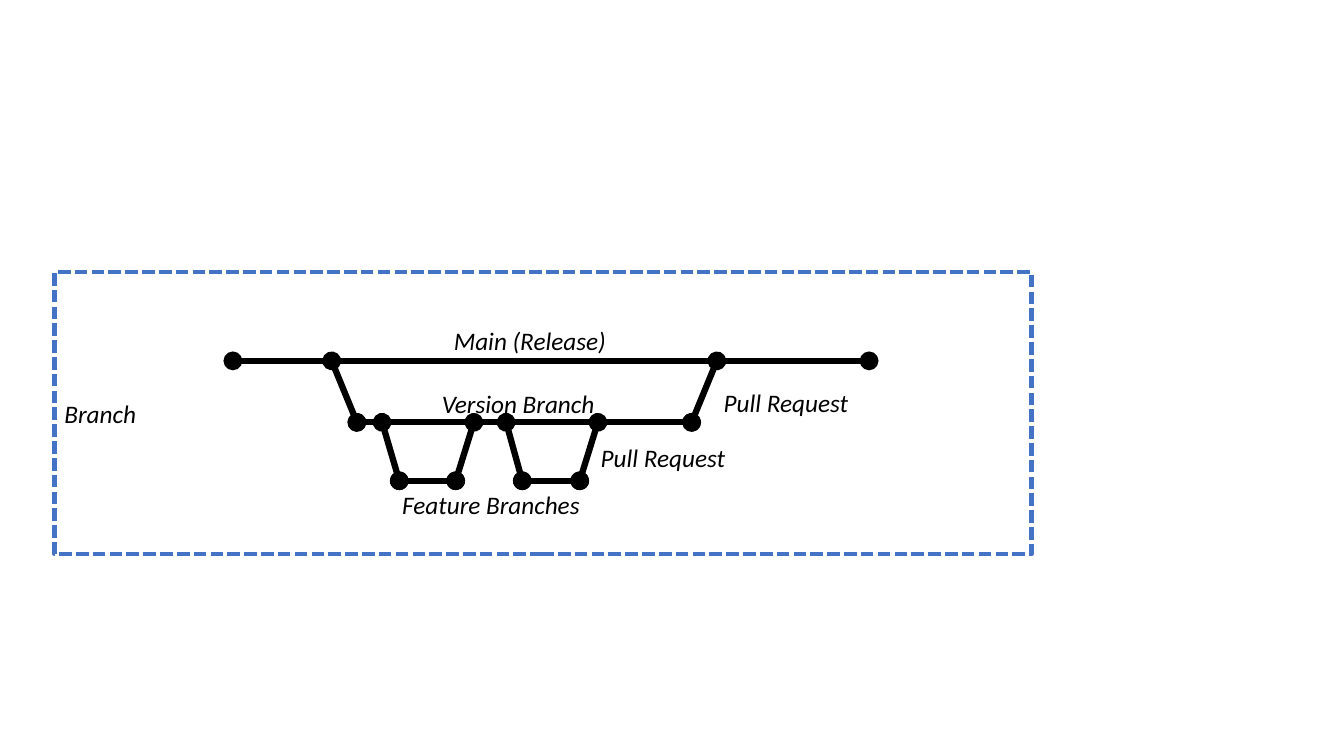
from dataclasses import dataclass
from itertools import pairwise

import pptx
import pptx.dml.color
import pptx.enum.dml
import pptx.enum.shapes
import pptx.enum.text
import pptx.oxml.ns
import pptx.util
from lxml import etree
from pptx.util import Inches


@dataclass(frozen=True)
class Theme:
    ink: pptx.dml.color.RGBColor = pptx.dml.color.RGBColor(0, 0, 0)
    frame: pptx.dml.color.RGBColor = pptx.dml.color.RGBColor(0x44, 0x72, 0xC4)
    font: str = "Calibri"
    label_size: int = pptx.util.Pt(18)
    branch_width: int = pptx.util.Pt(4.5)
    frame_width: int = pptx.util.Pt(3)


theme = Theme()


def write_label(shape, text, alignment):
    para = shape.text_frame.paragraphs[0]
    para.text = text
    para.alignment = alignment
    font = para.runs[0].font
    font.name = theme.font
    font.size = theme.label_size
    font.italic = True
    font.color.rgb = theme.ink


def draw_commit_line(page, start, end):
    """Join two commits with a line that has a dot at each end."""
    line = page.shapes.add_connector(
        pptx.enum.shapes.MSO_CONNECTOR.STRAIGHT,
        *(Inches(value) for value in (*start, *end)),
    )
    line.line.color.rgb = theme.ink
    line.line.width = theme.branch_width
    properties = line.line._get_or_add_ln()
    for tag in ("a:headEnd", "a:tailEnd"):
        etree.SubElement(properties, pptx.oxml.ns.qn(tag), type="oval")
    etree.SubElement(line._element.spPr, pptx.oxml.ns.qn("a:effectLst"))


deck = pptx.Presentation()
deck.slide_width = Inches(13.33)
deck.slide_height = Inches(7.5)
page = deck.slides.add_slide(deck.slide_layouts[6])

# Dashed frame
frame = page.shapes.add_shape(
    pptx.enum.shapes.MSO_SHAPE.RECTANGLE,
    Inches(0.54), Inches(2.7), Inches(9.69), Inches(2.8),
)
frame.shadow.inherit = False
frame.fill.background()
frame.line.color.rgb = theme.frame
frame.line.width = theme.frame_width
frame.line.dash_style = pptx.enum.dml.MSO_LINE.SQUARE_DOT
frame.text_frame.vertical_anchor = pptx.enum.text.MSO_ANCHOR.MIDDLE
write_label(frame, "Branch", pptx.enum.text.PP_ALIGN.LEFT)

# Branches, each a chain of commits
main_y, version_y, feature_y = 3.58, 4.19, 4.77
branches = [
    [(2.31, main_y), (8.62, main_y)],
    [(3.29, main_y), (3.54, version_y), (6.86, version_y), (7.11, main_y)],
]
for fork, first, last, merge in [(3.79, 3.96, 4.52, 4.7), (5.02, 5.18, 5.75, 5.93)]:
    branches.append(
        [(fork, version_y), (first, feature_y), (last, feature_y), (merge, version_y)]
    )
for commits in branches:
    for start, end in pairwise(commits):
        draw_commit_line(page, start, end)

# Branch labels
labels = [
    ("Main (Release)", 3.91, 3.18, 2.69),
    ("Version Branch", 4.08, 3.8, 2.12),
    ("Feature Branches", 3.81, 4.81, 2.12),
    ("Pull Request", 6.85, 3.79, 1.89),
    ("Pull Request", 5.63, 4.34, 1.89),
]
for text, left, top, width in labels:
    box = page.shapes.add_textbox(Inches(left), Inches(top), Inches(width), Inches(0.4))
    box.text_frame.word_wrap = True
    box.text_frame.auto_size = pptx.enum.text.MSO_AUTO_SIZE.SHAPE_TO_FIT_TEXT
    write_label(box, text, pptx.enum.text.PP_ALIGN.CENTER)

deck.save("out.pptx")
